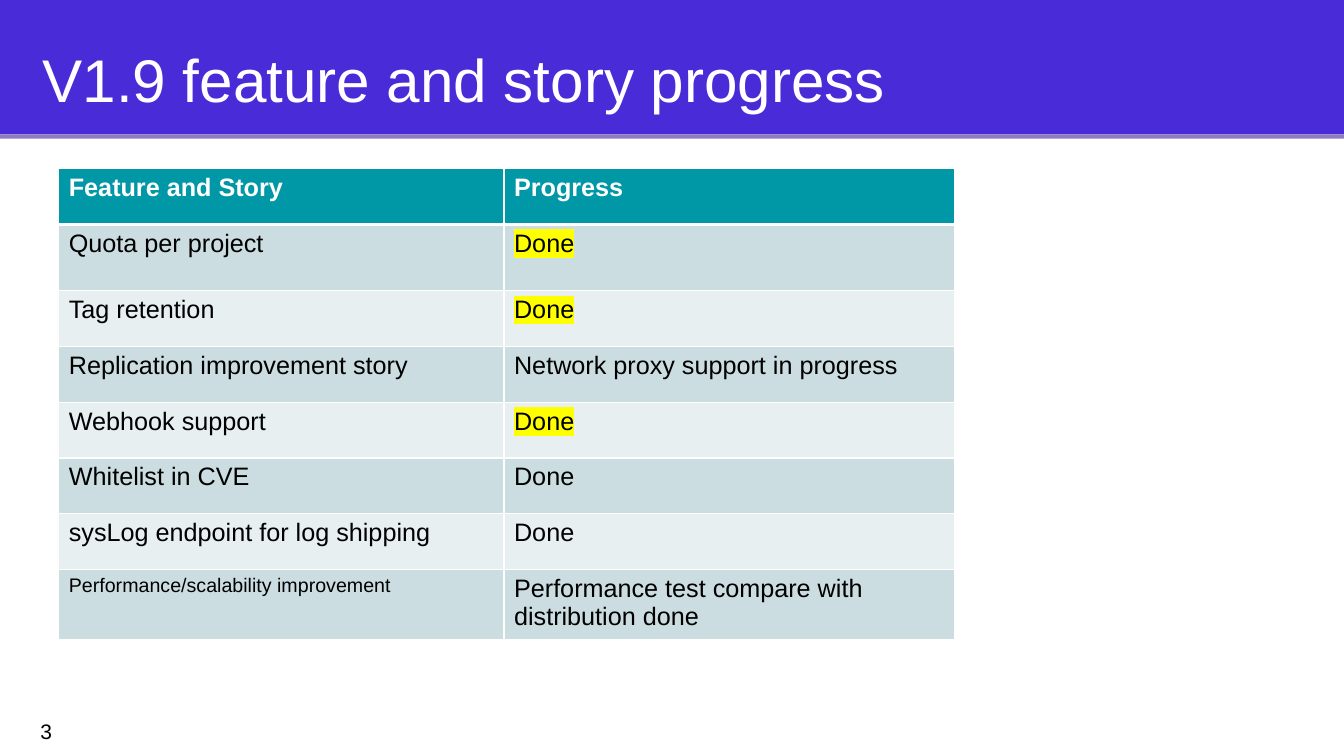
from lxml import etree
from pptx import Presentation
from pptx.dml.color import RGBColor
from pptx.enum.shapes import MSO_SHAPE
from pptx.enum.text import MSO_ANCHOR
from pptx.oxml.ns import qn
from pptx.util import Pt

RECTANGLE = MSO_SHAPE.RECTANGLE
TOP, MIDDLE = MSO_ANCHOR.TOP, MSO_ANCHOR.MIDDLE

WHITE = RGBColor(0xFF, 0xFF, 0xFF)
BLACK = RGBColor(0x00, 0x00, 0x00)
INDIGO = RGBColor(0x4A, 0x2B, 0xD8)
LAVENDER = RGBColor(0x8E, 0x7C, 0xC3)
TEAL = RGBColor(0x00, 0x97, 0xA7)
BAND_DARK = RGBColor(0xCC, 0xDD, 0xE1)
BAND_LIGHT = RGBColor(0xE7, 0xEF, 0xF1)
YELLOW = RGBColor(0xFF, 0xFF, 0x00)

FONT = "Arial"
PAGE_WIDTH, PAGE_HEIGHT = 960, 540
TITLE = "V1.9 feature and story progress"
PAGE_NUMBER = "3"
HEADER = ("Feature and Story", "Progress")
# feature, progress, progress is highlighted
STORIES = [
    ("Quota per project", "Done", True),
    ("Tag retention", "Done", True),
    ("Replication improvement story", "Network proxy support in progress", False),
    ("Webhook support", "Done", True),
    ("Whitelist in CVE", "Done", False),
    ("sysLog endpoint for log shipping", "Done", False),
    ("Performance/scalability improvement",
     "Performance test compare with distribution done", False),
]
SMALL_FEATURE = "Performance/scalability improvement"
COLUMN_WIDTHS = (318, 322)
ROW_HEIGHT, TALL_ROW_HEIGHT = 39.8, 47.5
TALL_ROWS = (1, len(STORIES))
THIN, THICK = 1, 3


def write(frame, text, size=18, color=BLACK, bold=False, highlight=None):
    span = frame.paragraphs[0].add_run()
    span.text = text
    span.font.size = Pt(size)
    span.font.bold = bold
    span.font.color.rgb = color
    span.font.name = FONT
    if highlight is not None:
        mark = etree.Element(qn("a:highlight"))
        etree.SubElement(mark, qn("a:srgbClr"), val=str(highlight))
        span.font._element.find(qn("a:solidFill")).addnext(mark)


def add_band(page, top, height, color):
    band = page.shapes.add_shape(RECTANGLE, 0, Pt(top), Pt(PAGE_WIDTH), Pt(height))
    band.shadow.inherit = False
    band.fill.solid()
    band.fill.fore_color.rgb = color
    band.line.fill.background()


def add_label(page, text, left, top, width, height, anchor, inset_top, inset_bottom, **style):
    box = page.shapes.add_textbox(Pt(left), Pt(top), Pt(width), Pt(height))
    frame = box.text_frame
    frame.word_wrap = True
    frame.vertical_anchor = anchor
    frame.margin_left = frame.margin_right = Pt(9.4)
    frame.margin_top, frame.margin_bottom = Pt(inset_top), Pt(inset_bottom)
    write(frame, text, **style)


def set_borders(cell, top, bottom):
    """Draw white cell borders; top and bottom are line widths in points."""
    properties = cell._tc.get_or_add_tcPr()
    sides = (("L", THIN), ("R", THIN), ("T", top), ("B", bottom))
    for place, (side, width) in enumerate(sides):
        line = etree.Element(qn(f"a:ln{side}"), w=str(Pt(width)))
        fill = etree.SubElement(line, qn("a:solidFill"))
        etree.SubElement(fill, qn("a:srgbClr"), val=str(WHITE))
        properties.insert(place, line)


def fill_cell(cell, row, text, **style):
    band = BAND_DARK if row % 2 else BAND_LIGHT
    cell.fill.solid()
    cell.fill.fore_color.rgb = TEAL if row == 0 else band
    set_borders(cell, THICK if row == 1 else THIN, THICK if row == 0 else THIN)
    write(cell.text_frame, text, **style)


def add_progress_table(page):
    heights = [TALL_ROW_HEIGHT if row in TALL_ROWS else ROW_HEIGHT
               for row in range(len(STORIES) + 1)]
    table = page.shapes.add_table(
        len(heights), len(COLUMN_WIDTHS), Pt(42), Pt(120.5),
        Pt(sum(COLUMN_WIDTHS)), Pt(sum(heights))).table
    for column, width in zip(table.columns, COLUMN_WIDTHS):
        column.width = Pt(width)
    for row, height in zip(table.rows, heights):
        row.height = Pt(height)
    for column, text in enumerate(HEADER):
        fill_cell(table.cell(0, column), 0, text, color=WHITE, bold=True)
    for row, (feature, progress, marked) in enumerate(STORIES, start=1):
        fill_cell(table.cell(row, 0), row, feature,
                  size=14 if feature == SMALL_FEATURE else 18)
        fill_cell(table.cell(row, 1), row, progress,
                  highlight=YELLOW if marked else None)


def main():
    deck = Presentation()
    deck.slide_width, deck.slide_height = Pt(PAGE_WIDTH), Pt(PAGE_HEIGHT)
    page = deck.slides.add_slide(deck.slide_layouts[6])
    add_band(page, 0, 96, INDIGO)
    add_band(page, 96, 3, LAVENDER)
    add_label(page, TITLE, 21, 16.5, 894, 64, TOP, 14, 0, size=43, color=WHITE)
    add_label(page, PAGE_NUMBER, 19.5, 502, 57.5, 41, MIDDLE, 9.4, 9.4, size=15)
    add_progress_table(page)
    deck.save("out.pptx")


if __name__ == "__main__":
    main()
